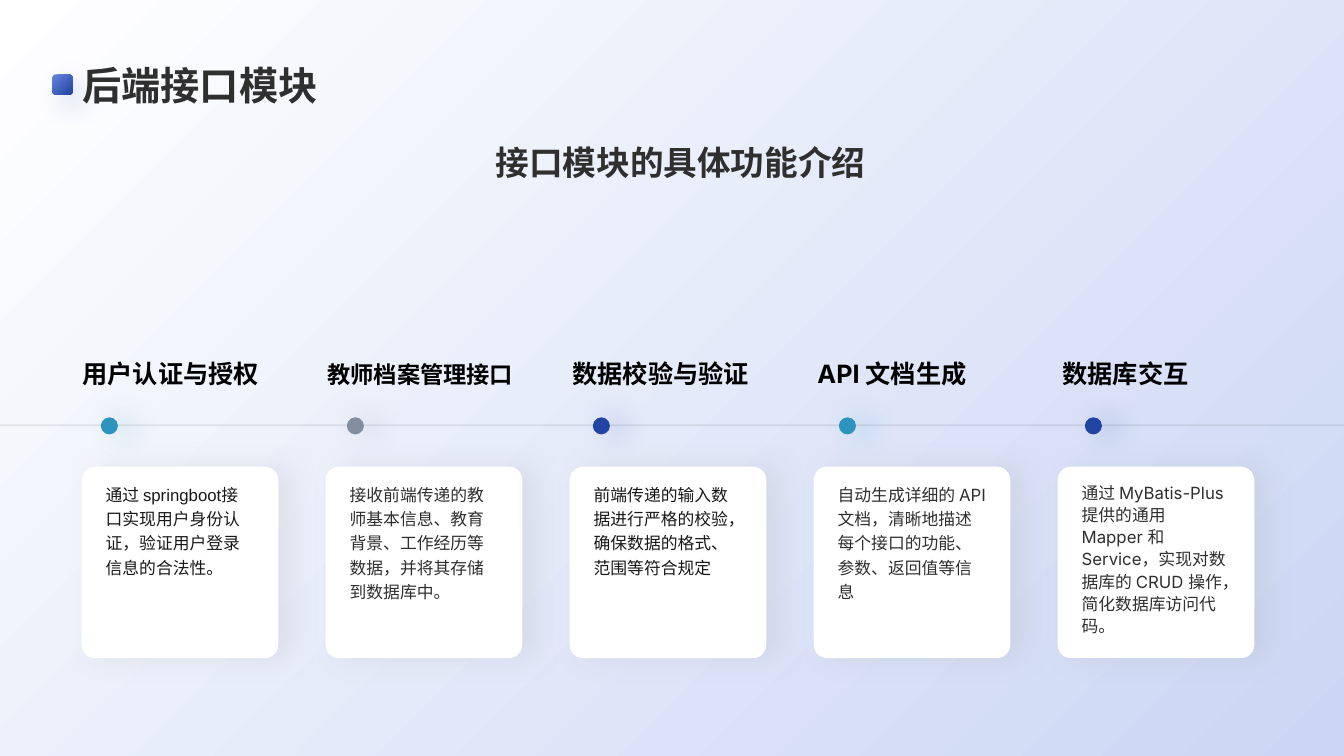
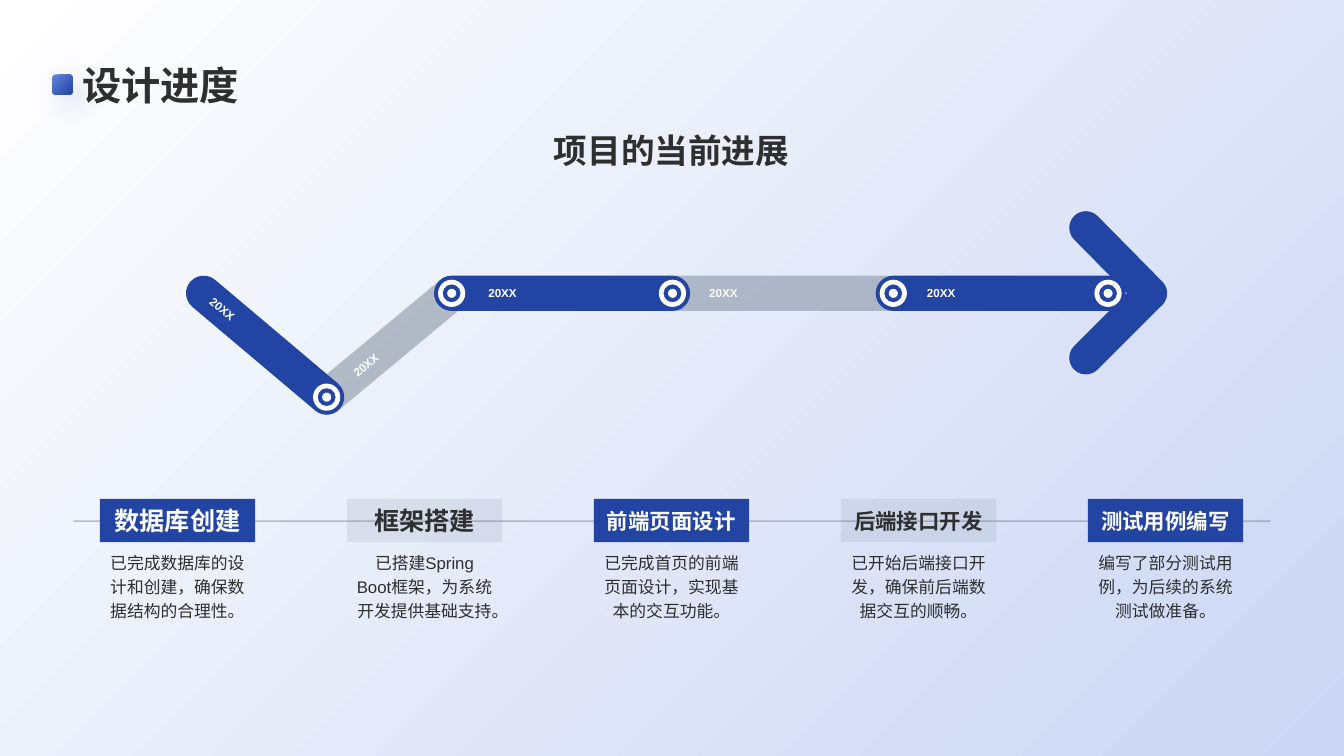
from math import atan2, cos, degrees, hypot, sin

from lxml import etree
from pptx import Presentation
from pptx.dml.color import RGBColor
from pptx.enum.lang import MSO_LANGUAGE_ID
from pptx.enum.shapes import MSO_CONNECTOR, MSO_SHAPE
from pptx.enum.text import MSO_ANCHOR, PP_ALIGN
from pptx.oxml.ns import qn
from pptx.util import Inches, Pt

LEFT, CENTER = PP_ALIGN.LEFT, PP_ALIGN.CENTER
TOP, MIDDLE, BOTTOM = MSO_ANCHOR.TOP, MSO_ANCHOR.MIDDLE, MSO_ANCHOR.BOTTOM
RECT, ROUND = MSO_SHAPE.RECTANGLE, MSO_SHAPE.ROUNDED_RECTANGLE
OVAL, DONUT = MSO_SHAPE.OVAL, MSO_SHAPE.DONUT
STRAIGHT = MSO_CONNECTOR.STRAIGHT
CHINESE = MSO_LANGUAGE_ID.SIMPLIFIED_CHINESE

WIDTH, HEIGHT = 13.33, 7.5
C = {
    "blue": "2244A2", "light_blue": "6384DE", "teal": "2D94BD",
    "slate": "828E9E", "grey": "778495", "pale": "CBD6F4",
    "white": "FFFFFF", "black": "000000", "text": "2F2F2F",
    "ink": "181818", "rule": "393939", "shade": "A6A6A6",
}

# heading, size, dot colour, body, body font, body colour, line spacing
INTERFACES = [
    ("用户认证与授权", 18, "teal",
     "通过 springboot接口实现用户身份认证，验证用户登录信息的合法性。",
     "Arial", "ink", 1.2),
    ("教师档案管理接口", 16.6, "slate",
     "接收前端传递的教师基本信息、教育背景、工作经历等数据，并将其存储到数据库中。",
     "Inter", "text", 1.2),
    ("数据校验与验证", 18, "blue",
     "前端传递的输入数据进行严格的校验，确保数据的格式、范围等符合规定",
     "Arial", "ink", 1.2),
    ("API 文档生成", 18, "teal",
     "自动生成详细的 API 文档，清晰地描述每个接口的功能、参数、返回值等信息",
     "Inter", "text", 1.2),
    ("数据库交互", 18, "blue",
     "通过 MyBatis-Plus 提供的通用 Mapper 和 Service，实现对数据库的 CRUD 操作，"
     "简化数据库访问代码。",
     "Inter", "text", 1.1),
]

# heading, size, body
STAGES = [
    ("数据库创建", 18, "已完成数据库的设计和创建，确保数据结构的合理性。"),
    ("框架搭建", 18, "已搭建Spring Boot框架，为系统开发提供基础支持。"),
    ("前端页面设计", 15.3, "已完成首页的前端页面设计，实现基本的交互功能。"),
    ("后端接口开发", 15.3, "已开始后端接口开发，确保前后端数据交互的顺畅。"),
    ("测试用例编写", 15.3, "编写了部分测试用例，为后续的系统测试做准备。"),
]
STAGE_DATE = "20XX"
STOPS = [(2.02, 2.91), (3.24, 3.94), (4.48, 2.91),
         (6.67, 2.91), (8.86, 2.91), (10.99, 2.91)]
DATE_OFFSETS = [0.4, 0.66, 0.66, 0.66, 0.63]
ARROW_TIP, ARROW_ENDS = (11.41, 2.91), [(10.77, 2.26), (10.77, 3.55)]
BAR = 0.35


def box(x, y, w, h):
    return [Inches(v) for v in (x, y, w, h)]


def around(x, y, w, h):
    return box(x - w / 2, y - h / 2, w, h)


def set_alpha(fill_parent, percent):
    clr = fill_parent.find(".//" + qn("a:srgbClr"))
    etree.SubElement(clr, qn("a:alpha"), val=str(percent * 1000))


def set_gradient(fill, start, end, angle):
    fill.gradient()
    fill.gradient_angle = angle
    for stop, name, pos in zip(fill.gradient_stops, (start, end), (0, 1)):
        stop.color.rgb = RGBColor.from_string(C[name])
        stop.position = pos


def add_shadow(sp, color, alpha, angle=0):
    effects = sp._element.spPr.find(qn("a:effectLst"))
    shadow = etree.SubElement(
        effects, qn("a:outerShdw"), blurRad=str(Pt(20)), dist=str(Pt(10)),
        dir=str(angle * 60000), algn="ctr", rotWithShape="0")
    etree.SubElement(shadow, qn("a:srgbClr"), val=C[color])
    set_alpha(shadow, alpha)


def add_shape(s, kind, at, color, alpha=100, adj=None):
    sp = s.shapes.add_shape(kind, *at)
    sp.shadow.inherit = False
    sp.line.fill.background()
    sp.fill.solid()
    sp.fill.fore_color.rgb = RGBColor.from_string(C[color])
    if alpha < 100:
        set_alpha(sp._element.spPr, alpha)
    if adj is not None:
        sp.adjustments[0] = adj
    return sp


def set_text(sp, text, size, color="text", font="Arial", bold=False,
             align=LEFT, anchor=TOP, spacing=None):
    tf = sp.text_frame
    tf.word_wrap = True
    tf.vertical_anchor = anchor
    p = tf.paragraphs[0]
    p.text = text
    p.alignment = align
    p.line_spacing = spacing
    f = p.font
    f.name, f.size, f.bold = font, Pt(size), bold
    f.color.rgb = RGBColor.from_string(C[color])
    f.language_id = CHINESE


def add_text(s, at, text, size, **style):
    sp = s.shapes.add_textbox(*at)
    set_text(sp, text, size, **style)
    return sp


def add_rule(s, x1, x2, y, color, width, alpha):
    line = s.shapes.add_connector(STRAIGHT, *box(x1, y, x2, y))
    line.line.width = Pt(width)
    line.line.color.rgb = RGBColor.from_string(C[color])
    spPr = line._element.spPr
    set_alpha(spPr, alpha)
    etree.SubElement(spPr, qn("a:effectLst"))


def add_bar(s, start, end, color="blue", alpha=100, thick=BAR):
    """Round-ended bar whose end caps are centred on two points."""
    (x1, y1), (x2, y2) = start, end
    length = hypot(x2 - x1, y2 - y1) + thick
    at = around((x1 + x2) / 2, (y1 + y2) / 2, length, thick)
    sp = add_shape(s, ROUND, at, color, alpha, 0.5)
    sp.rotation = degrees(atan2(y2 - y1, x2 - x1))


def add_target(s, x, y):
    add_shape(s, DONUT, around(x, y, 0.27, 0.27), "white", adj=0.17)
    add_shape(s, OVAL, around(x, y, 0.09, 0.09), "white")


def new_slide(prs, title, subtitle, subtitle_at):
    s = prs.slides.add_slide(prs.slide_layouts[6])
    set_gradient(s.background.fill, "pale", "white", 135)
    marker = add_shape(s, ROUND, box(0.52, 0.74, 0.2, 0.2), "blue")
    set_gradient(marker.fill, "light_blue", "blue", 315)
    add_shadow(marker, "blue", 20, 45)
    add_text(s, box(0.72, 0.14, 11.88, 0.98), title, 28, bold=True,
             anchor=BOTTOM)
    add_text(s, box(*subtitle_at, 11.88, 0.63), subtitle, 24, bold=True,
             align=CENTER)
    return s


def build_interfaces(prs):
    s = new_slide(prs, "后端接口模块", "接口模块的具体功能介绍", (0.81, 1.36))
    add_rule(s, 0, WIDTH, 4.22, "rule", 1.25, 10)
    for i, (head, size, dot_color, body, font, color, spacing) in enumerate(INTERFACES):
        card_x = 0.81 + 2.42 * i
        dot = add_shape(s, OVAL, box(1 + 2.44 * i, 4.14, 0.17, 0.17), dot_color)
        add_shadow(dot, dot_color, 32)
        card = add_shape(s, ROUND, box(card_x, 4.63, 1.95, 1.9), "white", adj=0.07)
        add_shadow(card, "shade", 20)
        add_text(s, box(card_x + 0.14, 4.72, 1.67, 1.48), body, 12,
                 color=color, font=font, spacing=spacing)
        add_text(s, box(0.72 + 2.43 * i, 3.5, 2.17, 0.4), head, size,
                 color="black", font="Inter", bold=True, anchor=BOTTOM)


def build_progress(prs):
    s = new_slide(prs, "设计进度", "项目的当前进展", (0.72, 1.24))
    bars = list(zip(STOPS, STOPS[1:]))
    for start, end in bars[1::2]:
        add_bar(s, start, end, "grey", 50)
    for end in ARROW_ENDS:
        add_bar(s, end, ARROW_TIP, thick=0.33)
    for start, end in bars[::2]:
        add_bar(s, start, end)
    for stop in STOPS[1:]:
        add_target(s, *stop)
    for ((x1, y1), (x2, y2)), offset in zip(bars, DATE_OFFSETS):
        angle = atan2(y2 - y1, x2 - x1)
        at = around(x1 + offset * cos(angle), y1 + offset * sin(angle), 0.79, 0.23)
        label = add_text(s, at, STAGE_DATE, 8.3, color="white", bold=True,
                         anchor=MIDDLE)
        label.rotation = degrees(angle)

    add_rule(s, 0.73, 12.6, 5.17, "grey", 1, 50)
    for i, (head, size, body) in enumerate(STAGES):
        x = 0.99 + 2.45 * i
        fill, alpha, color = (("grey", 15, "text") if i % 2
                              else ("blue", 100, "white"))
        tab = add_shape(s, RECT, box(x, 4.95, 1.54, 0.43), fill, alpha)
        set_text(tab, head, size, color=color, bold=True, align=CENTER,
                 anchor=MIDDLE)
        add_text(s, box(x, 5.39, 1.54, 1.32), body, 12, align=CENTER,
                 spacing=1.2)


def main():
    prs = Presentation()
    prs.slide_width, prs.slide_height = Inches(WIDTH), Inches(HEIGHT)
    build_interfaces(prs)
    build_progress(prs)
    prs.save("out.pptx")


if __name__ == "__main__":
    main()
